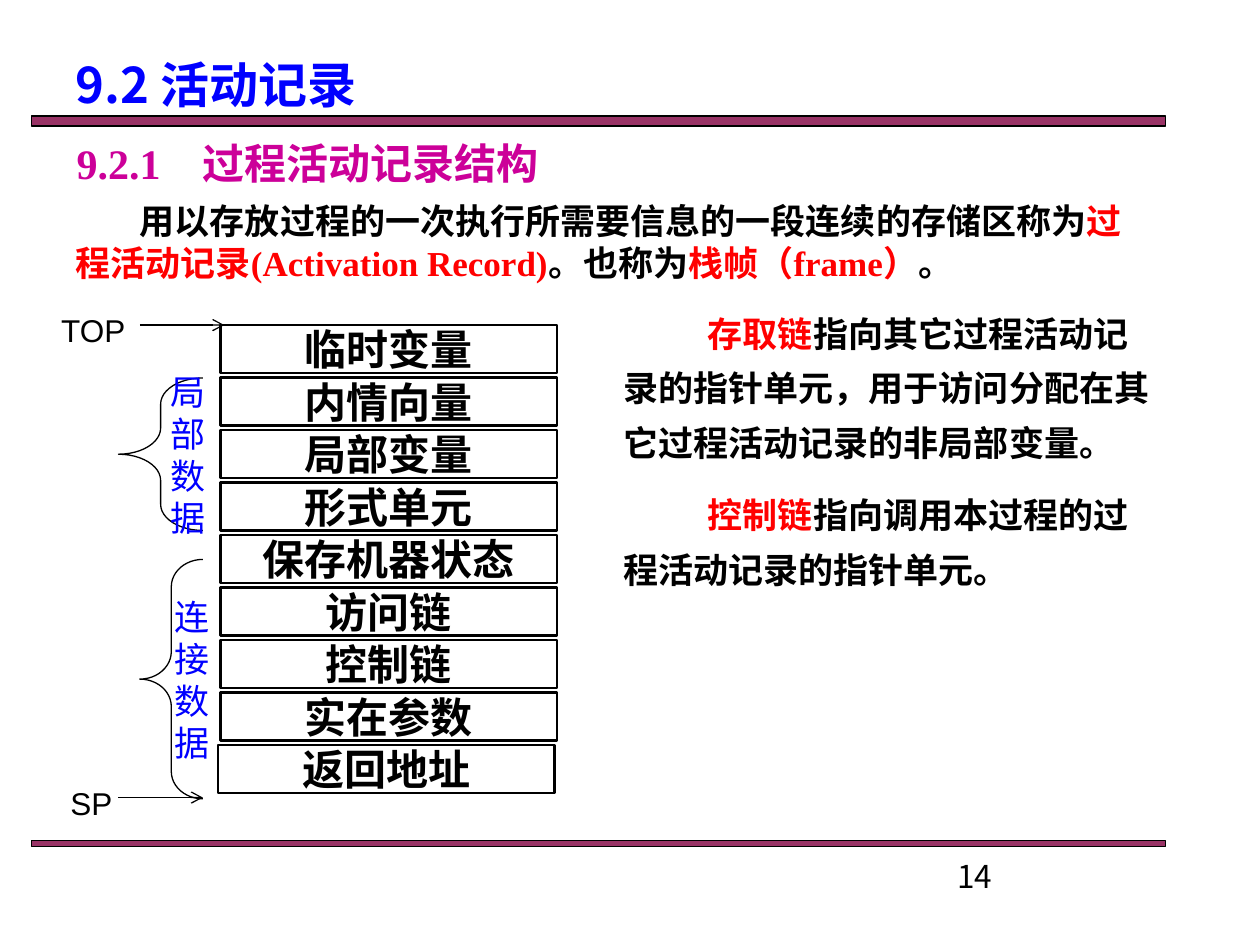
"""Build the slide on the structure of a procedure's activation record."""
from lxml import etree
from pptx import Presentation
from pptx.dml.color import RGBColor
from pptx.enum.shapes import MSO_CONNECTOR, MSO_SHAPE
from pptx.enum.text import MSO_ANCHOR, PP_ALIGN
from pptx.oxml.ns import qn
from pptx.util import Inches, Pt

RECT, BRACE = MSO_SHAPE.RECTANGLE, MSO_SHAPE.LEFT_BRACE
LINE = MSO_CONNECTOR.STRAIGHT
LEFT, MID = PP_ALIGN.LEFT, PP_ALIGN.CENTER
TOP, CENTER = MSO_ANCHOR.TOP, MSO_ANCHOR.MIDDLE
SANS, SERIF, HAN = "Arial", "Times New Roman", "Noto Sans CJK SC"
COLORS = {"ink": "000000", "blue": "0000FF", "red": "FF0000",
          "pink": "CC0099", "bar": "993366"}
CELLS = ["临时变量", "内情向量", "局部变量", "形式单元", "保存机器状态",
         "访问链", "控制链", "实在参数", "返回地址"]


class Deck:
    def __init__(self):
        self.prs = Presentation()
        self.prs.slide_width, self.prs.slide_height = Inches(10), Inches(7.5)
        self.slide = self.prs.slides.add_slide(self.prs.slide_layouts[1])
        self.shapes = self.slide.shapes

    def color(self, name):
        return RGBColor.from_string(COLORS[name])

    def label(self, shape, paras, size, font, bold=False, align=LEFT,
              anchor=TOP, wrap=True, indent=0, **spacing):
        frame = shape.text_frame
        frame.word_wrap, frame.vertical_anchor = wrap, anchor
        for i, runs in enumerate(paras):
            para = frame.add_paragraph() if i else frame.paragraphs[0]
            for key, value in {"alignment": align, **spacing}.items():
                setattr(para, key, value)
            props = para._p.get_or_add_pPr()
            props.set("marL", "0")
            props.set("indent", str(Inches(indent)))
            etree.SubElement(props, qn("a:buNone"))
            for text, color in runs:
                run = para.add_run()
                run.text = text
                style = {"size": Pt(size), "bold": bold, "name": font}
                for key, value in style.items():
                    setattr(run.font, key, value)
                run.font.color.rgb = self.color(color)
                east = etree.SubElement(run._r.get_or_add_rPr(), qn("a:ea"))
                east.set("typeface", HAN)

    def holder(self, index, box, paras, **style):
        shape = self.slide.placeholders[index]
        for key, value in zip(("left", "top", "width", "height"), box):
            setattr(shape, key, Inches(value))
        self.label(shape, paras, **style)

    def text(self, box, paras, **style):
        shape = self.shapes.add_textbox(*map(Inches, box))
        self.label(shape, paras, **style)

    def shape(self, kind, box, width=0.75, fill=None):
        shape = self.shapes.add_shape(kind, *map(Inches, box))
        shape.shadow.inherit = False
        if fill:
            shape.fill.solid()
            shape.fill.fore_color.rgb = self.color(fill)
        else:
            shape.fill.background()
        shape.line.color.rgb = self.color("ink")
        shape.line.width = Pt(width)
        return shape

    def cell(self, box, name):
        self.label(self.shape(RECT, box, 1.5), [[(name, "ink")]], 24, SANS,
                   bold=True, align=MID, anchor=CENTER, wrap=False)

    def brace(self, box, name, curve):
        shape = self.shape(BRACE, box)
        shape.adjustments[0] = curve
        self.label(shape, [[(char, "blue")] for char in name], 20, SANS,
                   align=MID, anchor=CENTER, wrap=False)

    def arrow(self, left, top, length):
        line = self.shapes.add_connector(
            LINE, *map(Inches, (left, top, left + length, top)))
        line.line.color.rgb = self.color("ink")
        line.line.width = Pt(0.75)
        props = line._element.spPr
        tail = etree.SubElement(props.find(qn("a:ln")), qn("a:tailEnd"))
        tail.set("type", "arrow")
        etree.SubElement(props, qn("a:effectLst"))


def main():
    deck = Deck()
    for top, height in ((0.92, 0.08), (6.67, 0.05)):
        deck.shape(RECT, (0.25, top, 9, height), fill="bar")
    deck.holder(0, (0.5, 0.33, 9, 0.67), [[("9.2 活动记录", "blue")]],
                size=28, font=HAN, bold=True, anchor=CENTER)
    deck.holder(1, (0.5, 1.53, 8.75, 1.31), [[
        ("用以存放过程的一次执行所需要信息的一段连续的存储区称为", "ink"),
        ("过程活动记录(Activation Record)", "red"), ("。也称为", "ink"),
        ("栈帧（frame）", "red"), ("。", "ink")]],
        size=20, font=SERIF, bold=True, indent=0.51, space_before=Pt(4))
    for i, name in enumerate(CELLS):
        left = 1.73 if name == CELLS[-1] else 1.75
        deck.cell((left, 2.58 + i * 5 / 12, 2.67, 0.38), name)
    deck.brace((1.11, 4.44, 0.5, 1.9), "连接数据", 0.435)
    deck.brace((0.94, 3, 0.67, 1.21), "局部数据", 0.31)
    for left, top in ((0.94, 6.33), (1.11, 2.58)):
        deck.arrow(left, top, 0.67)
    for name, box in (("SP", (0.38, 6.17, 0.69, 0.4)),
                      ("TOP", (0.25, 2.42, 0.98, 0.4))):
        deck.text(box, [[(name, "ink")]], size=18, font=SANS, align=MID)
    deck.text((0.51, 1, 6.41, 0.58), [[("9.2.1　过程活动记录结构", "pink")]],
              size=24, font=SERIF, bold=True, anchor=CENTER)
    deck.text((4.85, 2.33, 4.4, 2.46), [
        [("存取链", "red"), ("指向其它过程活动记录的指针单元，"
                          "用于访问分配在其它过程活动记录的非局部变量。", "ink")],
        [("控制链", "red"), ("指向调用本过程的过程活动记录的指针单元。", "ink")]],
        size=20, font=HAN, bold=True, indent=0.67, line_spacing=1.3,
        space_before=Pt(10))
    deck.text((7.5, 6.75, 2.33, 0.27), [[("14", "ink")]], size=18, font=HAN)
    deck.prs.save("out.pptx")


if __name__ == "__main__":
    main()
